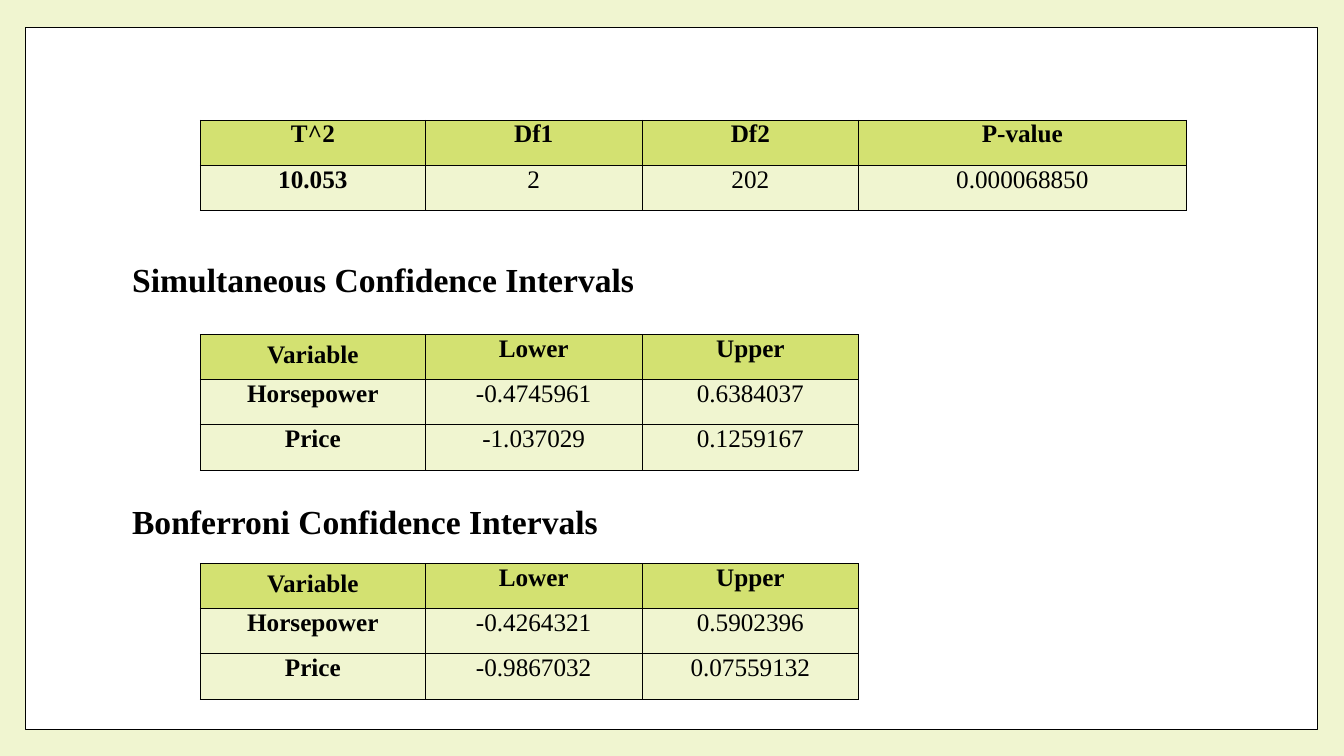
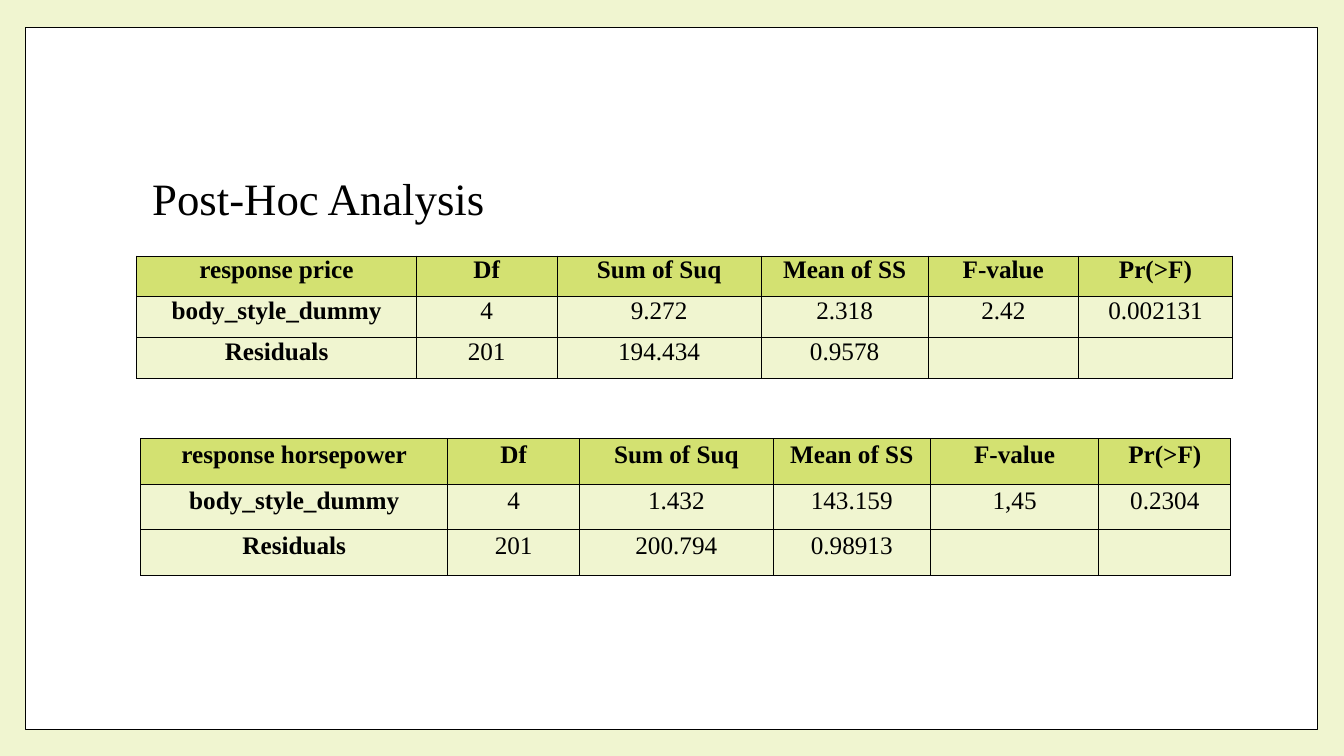
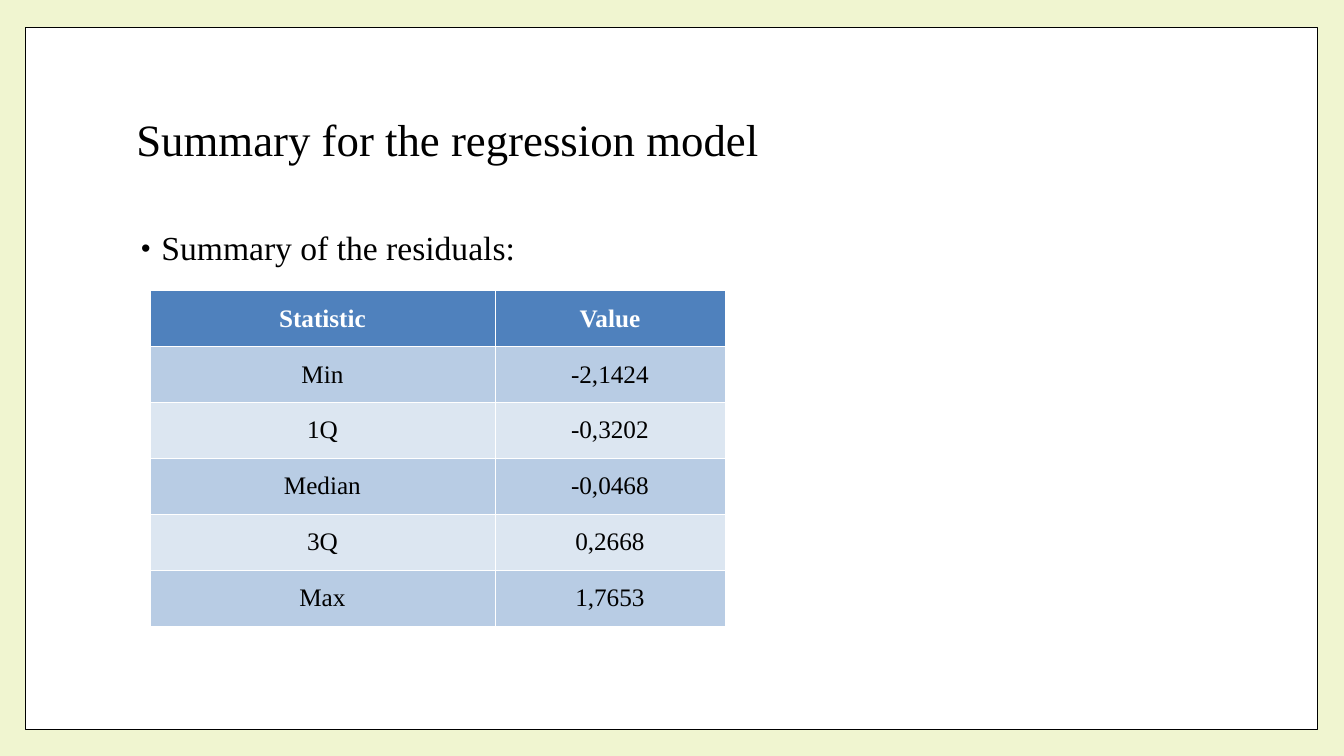
from dataclasses import dataclass

from lxml.etree import SubElement
from pptx import Presentation
from pptx.dml.color import RGBColor
from pptx.enum.shapes import MSO_SHAPE
from pptx.enum.text import MSO_ANCHOR, MSO_AUTO_SIZE, PP_ALIGN
from pptx.oxml.ns import qn
from pptx.util import Cm, Pt

FONT = "Times New Roman"
BLACK = RGBColor(0x00, 0x00, 0x00)
WHITE = RGBColor(0xFF, 0xFF, 0xFF)
PALE_GREEN = RGBColor(0xF0, 0xF5, 0xD0)
GREEN = RGBColor(0xD3, 0xE1, 0x71)
BLUE = RGBColor(0x4F, 0x81, 0xBD)
MID_BLUE = RGBColor(0xB8, 0xCC, 0xE4)
PALE_BLUE = RGBColor(0xDC, 0xE6, 0xF1)

TITLE_ONLY, BLANK = 5, 6
PANEL_ID = 100


@dataclass
class TableLook:
    header_fill: RGBColor
    header_color: RGBColor
    row_fills: tuple
    border_color: RGBColor
    border_width: float
    bold_first_column: bool
    side_margin: float = 0
    bottom_margin: float = 0
    line_height: float = None


INTERVAL_LOOK = TableLook(GREEN, BLACK, (PALE_GREEN,), BLACK, 0.75, True, 0.03, 0.1, 9.8)
ANOVA_LOOK = TableLook(GREEN, BLACK, (PALE_GREEN,), BLACK, 0.75, True, 0.03, 0.12, 13.5)
RESIDUAL_LOOK = TableLook(BLUE, WHITE, (MID_BLUE, PALE_BLUE), WHITE, 0.5, False)


def add_text(paragraph, text, size, color=BLACK, bold=False):
    run = paragraph.add_run()
    run.text = text
    run.font.name = FONT
    run.font.size = Pt(size)
    run.font.bold = bold
    run.font.color.rgb = color


def set_borders(cell, color, width):
    properties = cell._tc.get_or_add_tcPr()
    for side in ("lnL", "lnR", "lnT", "lnB"):
        line = SubElement(properties, qn(f"a:{side}"), w=str(Pt(width)))
        fill = SubElement(line, qn("a:solidFill"))
        SubElement(fill, qn("a:srgbClr"), val=str(color))


def set_bullet(paragraph, indent, hanging):
    properties = paragraph._p.get_or_add_pPr()
    properties.set("marL", str(Cm(indent)))
    properties.set("indent", str(-Cm(hanging)))
    color = SubElement(properties, qn("a:buClr"))
    SubElement(color, qn("a:srgbClr"), val=str(BLACK))
    SubElement(properties, qn("a:buSzPct"), val="80000")
    SubElement(properties, qn("a:buFont"), typeface="Arial")
    SubElement(properties, qn("a:buChar"), char="•")


def style_master(presentation, slide):
    """Give every slide the pale green background and the framed white panel."""
    master = presentation.slide_master
    master.background.fill.solid()
    master.background.fill.fore_color.rgb = PALE_GREEN
    panel = slide.shapes.add_shape(
        MSO_SHAPE.RECTANGLE, Cm(0.64), Cm(0.69), Cm(32.56), Cm(17.7))
    panel.shadow.inherit = False
    panel.fill.solid()
    panel.fill.fore_color.rgb = WHITE
    panel.line.color.rgb = BLACK
    panel.line.width = Pt(1)
    panel.element.nvSpPr.cNvPr.set("id", str(PANEL_ID))
    master.shapes.element.insert(2, panel.element)


def place_title(slide, text, left, top, width, height, line_spacing=1.0):
    title = slide.shapes.title
    title.left, title.top, title.width, title.height = map(Cm, (left, top, width, height))
    frame = title.text_frame
    frame.auto_size = MSO_AUTO_SIZE.NONE
    frame.vertical_anchor = MSO_ANCHOR.MIDDLE
    paragraph = frame.paragraphs[0]
    paragraph.alignment = PP_ALIGN.LEFT
    paragraph.line_spacing = line_spacing
    add_text(paragraph, text, 32)


def add_paragraph_box(slide, left, top, width, height):
    """Add a wrapping text box and return its first paragraph."""
    frame = slide.shapes.add_textbox(Cm(left), Cm(top), Cm(width), Cm(height)).text_frame
    frame.word_wrap = True
    return frame.paragraphs[0]


def add_heading(slide, text, left, top):
    add_text(add_paragraph_box(slide, left, top, 15.6, 1.27), text, 24, bold=True)


def fill_cell(cell, text, look, row, column):
    is_header = row == 0
    set_borders(cell, look.border_color, look.border_width)
    cell.fill.solid()
    cell.fill.fore_color.rgb = (
        look.header_fill if is_header else look.row_fills[(row - 1) % len(look.row_fills)])
    cell.margin_left = cell.margin_right = cell.margin_top = Cm(look.side_margin)
    cell.margin_bottom = Cm(look.bottom_margin)
    cell.vertical_anchor = MSO_ANCHOR.MIDDLE
    paragraph = cell.text_frame.paragraphs[0]
    paragraph.alignment = PP_ALIGN.CENTER
    if look.line_height:
        paragraph.line_spacing = Pt(look.line_height)
    if text:
        bold = is_header or (look.bold_first_column and column == 0)
        add_text(paragraph, text, 18, look.header_color if is_header else BLACK, bold)


def add_data_table(slide, rows, left, top, widths, row_height, look):
    table = slide.shapes.add_table(
        len(rows), len(widths), Cm(left), Cm(top),
        Cm(sum(widths)), Cm(row_height * len(rows))).table
    for column, width in zip(table.columns, widths):
        column.width = Cm(width)
    for row_index, texts in enumerate(rows):
        table.rows[row_index].height = Cm(row_height)
        for column_index, text in enumerate(texts):
            fill_cell(table.cell(row_index, column_index), text, look, row_index, column_index)
    return table


def add_interval_section(slide, heading, heading_top, table_top, intervals):
    add_heading(slide, heading, 3.08, heading_top)
    rows = [("Variable", "Lower", "Upper"), *intervals]
    table = add_data_table(slide, rows, 5.05, table_top, (5.67, 5.46, 5.46), 1.14, INTERVAL_LOOK)
    table.cell(0, 0).margin_top = Cm(0.37)  # "Variable" sits lower than its neighbours


def build_intervals_slide(slide):
    test_rows = [("T^2", "Df1", "Df2", "P-value"), ("10.053", "2", "202", "0.000068850")]
    add_data_table(slide, test_rows, 5.05, 3.03, (5.67, 5.46, 5.46, 8.25), 1.14, INTERVAL_LOOK)
    add_interval_section(slide, "Simultaneous Confidence Intervals", 6.4, 8.43, [
        ("Horsepower", "-0.4745961", "0.6384037"),
        ("Price", "-1.037029", "0.1259167"),
    ])
    add_interval_section(slide, "Bonferroni Confidence Intervals", 12.5, 14.2, [
        ("Horsepower", "-0.4264321", "0.5902396"),
        ("Price", "-0.9867032", "0.07559132"),
    ])


def add_anova_table(slide, response, effect, residuals, left, top, widths, row_height):
    rows = [
        (f"response {response}", "Df", "Sum of Suq", "Mean of SS", "F-value", "Pr(>F)"),
        ("body_style_dummy", *effect),
        ("Residuals", *residuals, "", ""),
    ]
    add_data_table(slide, rows, left, top, widths, row_height, ANOVA_LOOK)


def build_post_hoc_slide(slide):
    place_title(slide, "Post-Hoc Analysis", 3.58, 4.17, 12.7, 1.63)
    add_anova_table(
        slide, "price", ("4", "9.272", "2.318", "2.42", "0.002131"),
        ("201", "194.434", "0.9578"),
        3.45, 6.45, (7.04, 3.55, 5.14, 4.21, 3.79, 3.88), 1.03)
    add_anova_table(
        slide, "horsepower", ("4", "1.432", "143.159", "1,45", "0.2304"),
        ("201", "200.794", "0.98913"),
        3.55, 11.05, (7.73, 3.33, 4.87, 3.97, 4.24, 3.33), 1.15)


def build_regression_slide(slide):
    place_title(slide, "Summary for the regression model", 3.18, 1.7, 27.43, 3.76, 0.9)
    bullet = add_paragraph_box(slide, 3.18, 5.72, 27.43, 11.23)
    set_bullet(bullet, 0.64, 0.51)
    bullet.line_spacing = 0.9
    add_text(bullet, "Summary of the residuals:", 24)
    residual_rows = [
        ("Statistic", "Value"),
        ("Min", "-2,1424"),
        ("1Q", "-0,3202"),
        ("Median", "-0,0468"),
        ("3Q", "0,2668"),
        ("Max", "1,7653"),
    ]
    add_data_table(slide, residual_rows, 3.78, 7.32, (8.69, 5.8), 1.41, RESIDUAL_LOOK)


def main():
    presentation = Presentation()
    presentation.slide_width, presentation.slide_height = Cm(33.87), Cm(19.05)
    layouts = presentation.slide_layouts
    intervals_slide = presentation.slides.add_slide(layouts[BLANK])
    style_master(presentation, intervals_slide)
    build_intervals_slide(intervals_slide)
    build_post_hoc_slide(presentation.slides.add_slide(layouts[TITLE_ONLY]))
    build_regression_slide(presentation.slides.add_slide(layouts[TITLE_ONLY]))
    presentation.save("out.pptx")


if __name__ == "__main__":
    main()
